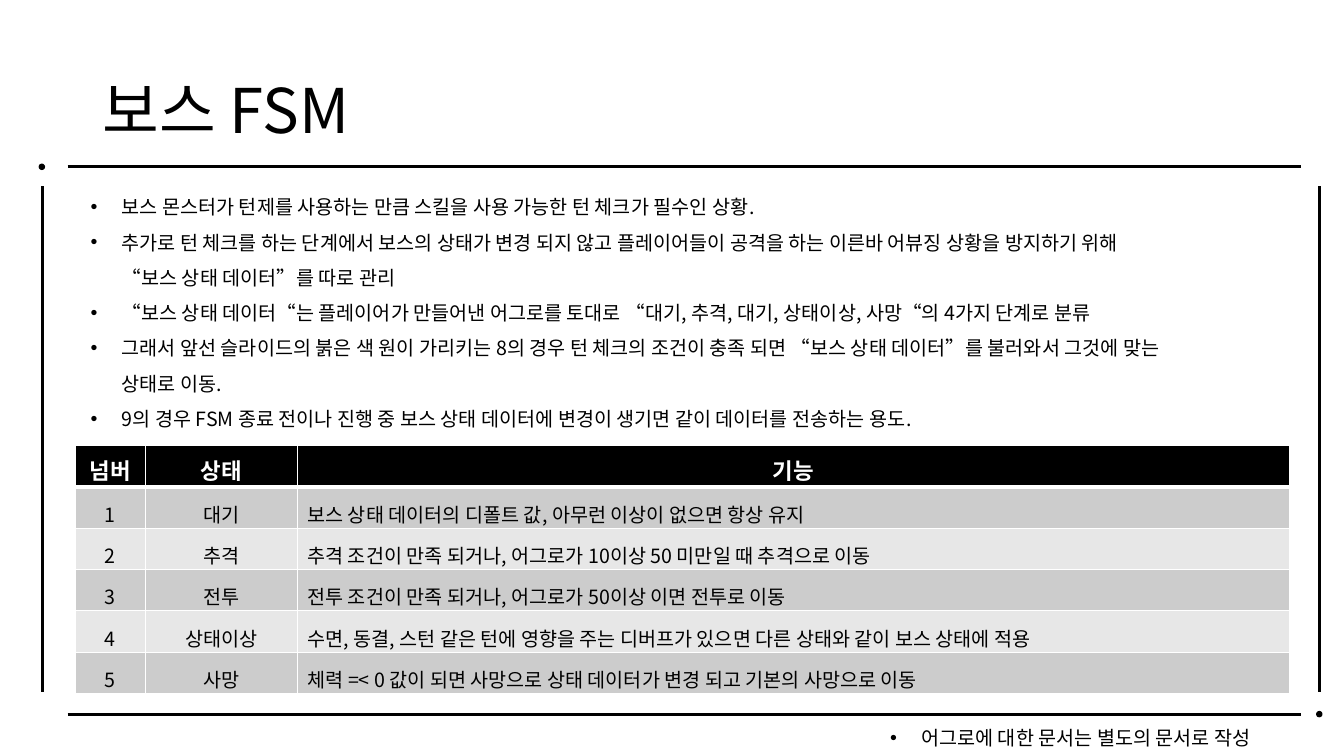
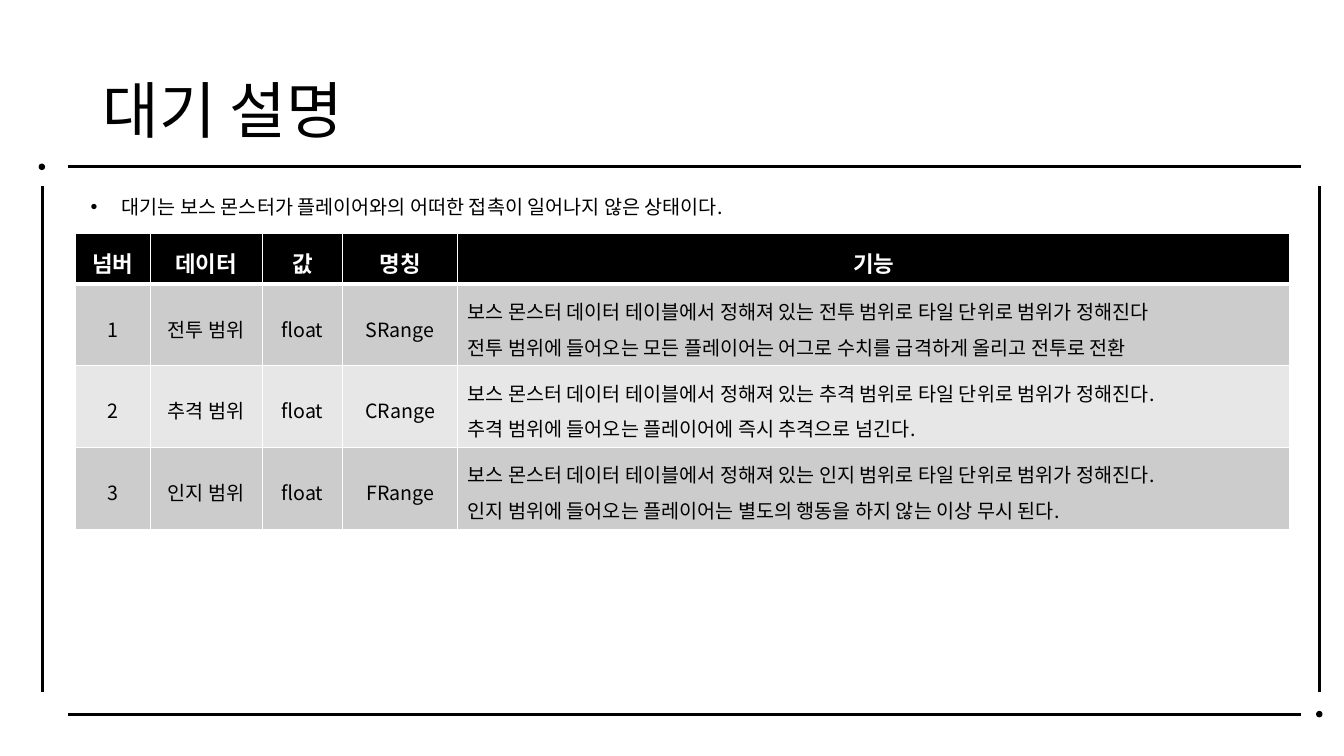
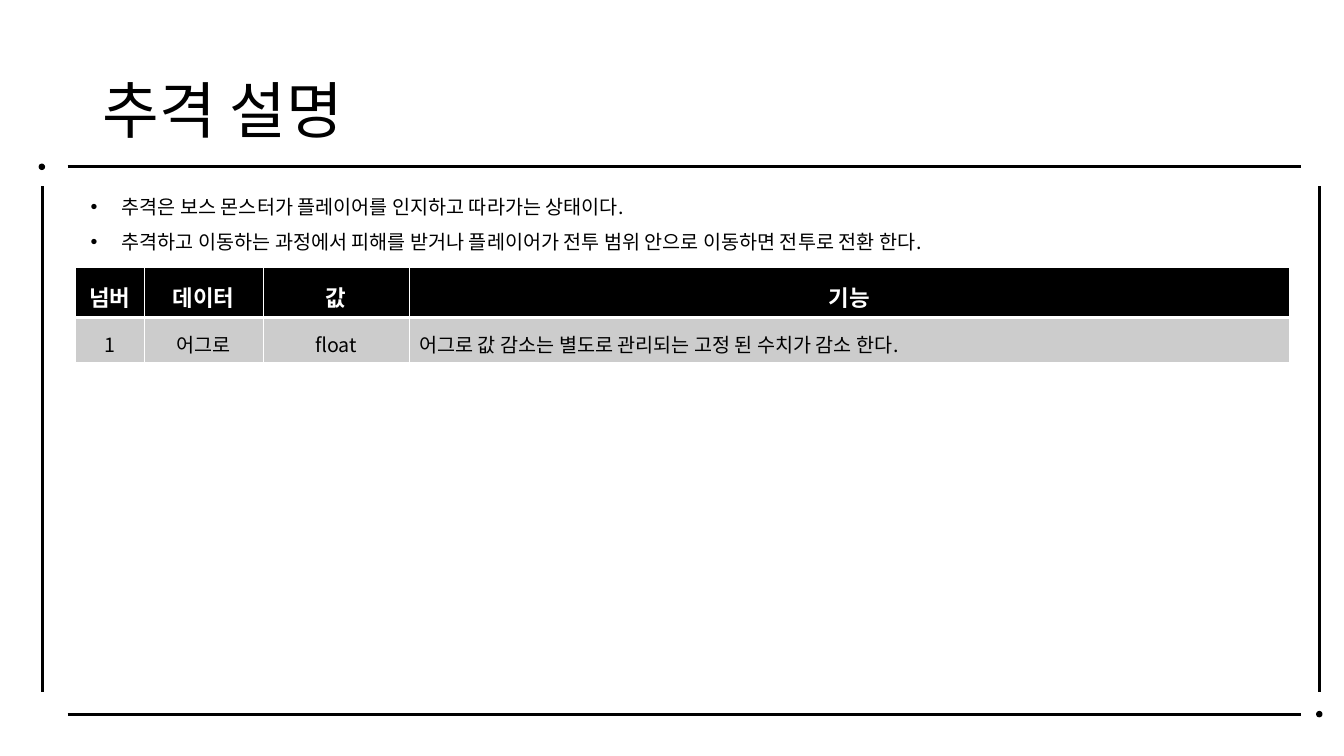
from dataclasses import dataclass

from pptx import Presentation
from pptx.dml.color import RGBColor as Color
from pptx.enum.shapes import MSO_CONNECTOR as Link, MSO_SHAPE as Shape
from pptx.enum.text import MSO_ANCHOR as Anchor, PP_ALIGN as Align
from pptx.oxml.ns import qn
from pptx.util import Inches, Pt
from lxml.etree import SubElement as Sub


@dataclass(frozen=True)
class Theme:
    """Hold the fonts, colours and type sizes of the deck."""
    font: str = "Noto Sans CJK KR"
    ink: str = "000000"
    paper: str = "FFFFFF"
    bands: tuple = ("CCCCCC", "E7E7E7")
    title: int = 44
    head: int = 16
    body: int = 14
    rule: float = 2.25


T = Theme()


def rgb(code):
    """Turn a hex code into a colour."""
    return Color.from_string(code)


def style(run, size, color, bold):
    """Set the type of one run."""
    font = run.font
    font.name, font.size, font.bold = T.font, Pt(size), bold
    font.color.rgb = rgb(color)
    Sub(run._r.get_or_add_rPr(), qn("a:ea"), typeface=T.font)


def write(frame, texts, size=T.body, space=1.0, align=Align.LEFT,
          color=T.ink, bold=False, bullet=False):
    """Fill a text frame with one paragraph per text."""
    for i, text in enumerate(texts):
        para = frame.add_paragraph() if i else frame.paragraphs[0]
        if bullet:
            props = para._p.get_or_add_pPr()
            props.set("marL", str(Inches(0.31)))
            props.set("indent", str(-Inches(0.31)))
            Sub(props, qn("a:buFont"), typeface="Arial")
            Sub(props, qn("a:buChar"), char="•")
        para.line_spacing, para.alignment = space, align
        for j, line in enumerate(text.split("\n")):
            if j:
                para.add_line_break()
            run = para.add_run()
            run.text = line
            style(run, size, color, bold)


def box(slide, left, top, width, height, texts, anchor=Anchor.TOP, **look):
    """Add a wrapped text box."""
    frame = slide.shapes.add_textbox(*map(Inches, (left, top, width, height))).text_frame
    frame.word_wrap, frame.vertical_anchor = True, anchor
    write(frame, texts, **look)


def rule(slide, x1, y1, x2, y2):
    """Add one straight rule of the frame."""
    line = slide.shapes.add_connector(Link.STRAIGHT, *map(Inches, (x1, y1, x2, y2)))
    line.line.color.rgb, line.line.width = rgb(T.ink), Pt(T.rule)
    Sub(line._element.spPr, qn("a:effectLst"))


def dot(slide, left, top):
    """Add one corner dot of the frame."""
    mark = slide.shapes.add_shape(Shape.OVAL, *map(Inches, (left, top, 0.05, 0.05)))
    mark.shadow.inherit = False
    mark.fill.solid()
    mark.fill.fore_color.rgb = mark.line.color.rgb = rgb(T.ink)
    mark.line.width = Pt(1)


def page(deck, title):
    """Add a slide with the shared frame and a title."""
    slide = deck.slides.add_slide(deck.slide_layouts[6])
    for y in (1.65, 7.09):
        rule(slide, 0.67, y, 12.9, y)
    for x in (0.42, 13.09):
        rule(slide, x, 1.85, x, 6.87)
    dot(slide, 13.06, 7.06)
    dot(slide, 0.39, 1.63)
    box(slide, 0.92, 0.4, 11.5, 1.45, [title], Anchor.MIDDLE, size=T.title, space=0.9)
    return slide


def notes(slide, texts):
    """Add the bullet list below the title."""
    box(slide, 0.8, 1.77, 11.96, 0.05 + 0.36 * len(texts), texts, space=1.5, bullet=True)


def edge(cell, row):
    """Draw the white borders of a cell."""
    props = cell._tc.get_or_add_tcPr()
    thick = {"T": row == 1, "B": row == 0}
    for side in "LRTB":
        line = Sub(props, qn(f"a:ln{side}"), w=str(Pt(3 if thick.get(side) else 1)))
        Sub(Sub(line, qn("a:solidFill")), qn("a:srgbClr"), val=T.paper)


def grid(slide, top, cols, head, tall, rows, tight=False):
    """Add a banded table whose last column is left aligned."""
    high = [head] + [tall] * (len(rows) - 1)
    area = map(Inches, (0.75, top, sum(cols), sum(high)))
    table = slide.shapes.add_table(len(rows), len(cols), *area).table
    for col, width in zip(table.columns, cols):
        col.width = Inches(width)
    for r, texts in enumerate(rows):
        table.rows[r].height = Inches(high[r])
        for c, text in enumerate(texts):
            cell = table.cell(r, c)
            edge(cell, r)
            cell.fill.solid()
            cell.fill.fore_color.rgb = rgb(T.bands[(r - 1) % 2] if r else T.ink)
            cell.vertical_anchor = Anchor.MIDDLE
            if tight:
                cell.margin_top, cell.margin_bottom = Inches(0.05 if r else 0), 0
            last = r and c == len(cols) - 1
            write(cell.text_frame, text if isinstance(text, list) else [text],
                  size=T.body if r else T.head, space=1.25,
                  align=Align.LEFT if last else Align.CENTER,
                  color=T.ink if r else T.paper, bold=not r)


def boss(deck):
    """Build the slide on the boss states."""
    slide = page(deck, "보스 FSM")
    notes(slide, [
        "보스 몬스터가 턴제를 사용하는 만큼 스킬을 사용 가능한 턴 체크가 필수인 상황.",
        "추가로 턴 체크를 하는 단계에서 보스의 상태가 변경 되지 않고 플레이어들이 공격을 하는 "
        "이른바 어뷰징 상황을 방지하기 위해\n“보스 상태 데이터”를 따로 관리",
        "“보스 상태 데이터“는 플레이어가 만들어낸 어그로를 토대로 "
        "“대기, 추격, 대기, 상태이상, 사망“의 4가지 단계로 분류",
        "그래서 앞선 슬라이드의 붉은 색 원이 가리키는 8의 경우 턴 체크의 조건이 충족 되면 "
        "“보스 상태 데이터”를 불러와서 그것에 맞는\n상태로 이동.",
        "9의 경우 FSM 종료 전이나 진행 중 보스 상태 데이터에 변경이 생기면 "
        "같이 데이터를 전송하는 용도.",
    ])
    grid(slide, 4.42, [0.69, 1.51, 9.84], 0.41, 0.41, [
        ("넘버", "상태", "기능"),
        ("1", "대기", "보스 상태 데이터의 디폴트 값, 아무런 이상이 없으면 항상 유지"),
        ("2", "추격", "추격 조건이 만족 되거나, 어그로가 10이상 50 미만일 때 추격으로 이동"),
        ("3", "전투", "전투 조건이 만족 되거나, 어그로가 50이상 이면 전투로 이동"),
        ("4", "상태이상", "수면, 동결, 스턴 같은 턴에 영향을 주는 디버프가 있으면 "
                      "다른 상태와 같이 보스 상태에 적용"),
        ("5", "사망", "체력 =< 0 값이 되면 사망으로 상태 데이터가 변경 되고 기본의 사망으로 이동"),
    ], tight=True)
    box(slide, 8.73, 7.15, 4.2, 0.34, ["어그로에 대한 문서는 별도의 문서로 작성"], bullet=True)


def idle(deck):
    """Build the slide on the idle state."""
    slide = page(deck, "대기 설명")
    notes(slide, ["대기는 보스 몬스터가 플레이어와의 어떠한 접촉이 일어나지 않은 상태이다."])
    grid(slide, 2.32, [0.74, 1.11, 0.8, 1.14, 8.25], 0.5, 0.81, [
        ("넘버", "데이터", "값", "명칭", "기능"),
        ("1", "전투 범위", "float", "SRange", [
            "보스 몬스터 데이터 테이블에서 정해져 있는 전투 범위로 타일 단위로 범위가 정해진다",
            "전투 범위에 들어오는 모든 플레이어는 어그로 수치를 급격하게 올리고 전투로 전환"]),
        ("2", "추격 범위", "float", "CRange", [
            "보스 몬스터 데이터 테이블에서 정해져 있는 추격 범위로 타일 단위로 범위가 정해진다.",
            "추격 범위에 들어오는 플레이어에 즉시 추격으로 넘긴다."]),
        ("3", "인지 범위", "float", "FRange", [
            "보스 몬스터 데이터 테이블에서 정해져 있는 인지 범위로 타일 단위로 범위가 정해진다.",
            "인지 범위에 들어오는 플레이어는 별도의 행동을 하지 않는 이상 무시 된다."]),
    ])


def chase(deck):
    """Build the slide on the chase state."""
    slide = page(deck, "추격 설명")
    notes(slide, [
        "추격은 보스 몬스터가 플레이어를 인지하고 따라가는 상태이다.",
        "추격하고 이동하는 과정에서 피해를 받거나 플레이어가 전투 범위 안으로 이동하면 "
        "전투로 전환 한다.",
    ])
    grid(slide, 2.65, [0.68, 1.18, 1.45, 8.73], 0.5, 0.45, [
        ("넘버", "데이터", "값", "기능"),
        ("1", "어그로", "float", "어그로 값 감소는 별도로 관리되는 고정 된 수치가 감소 한다."),
    ])


def main():
    """Build and save the deck."""
    deck = Presentation()
    deck.slide_width, deck.slide_height = Inches(13.33), Inches(7.5)
    for build in (boss, idle, chase):
        build(deck)
    deck.save("out.pptx")


if __name__ == "__main__":
    main()
